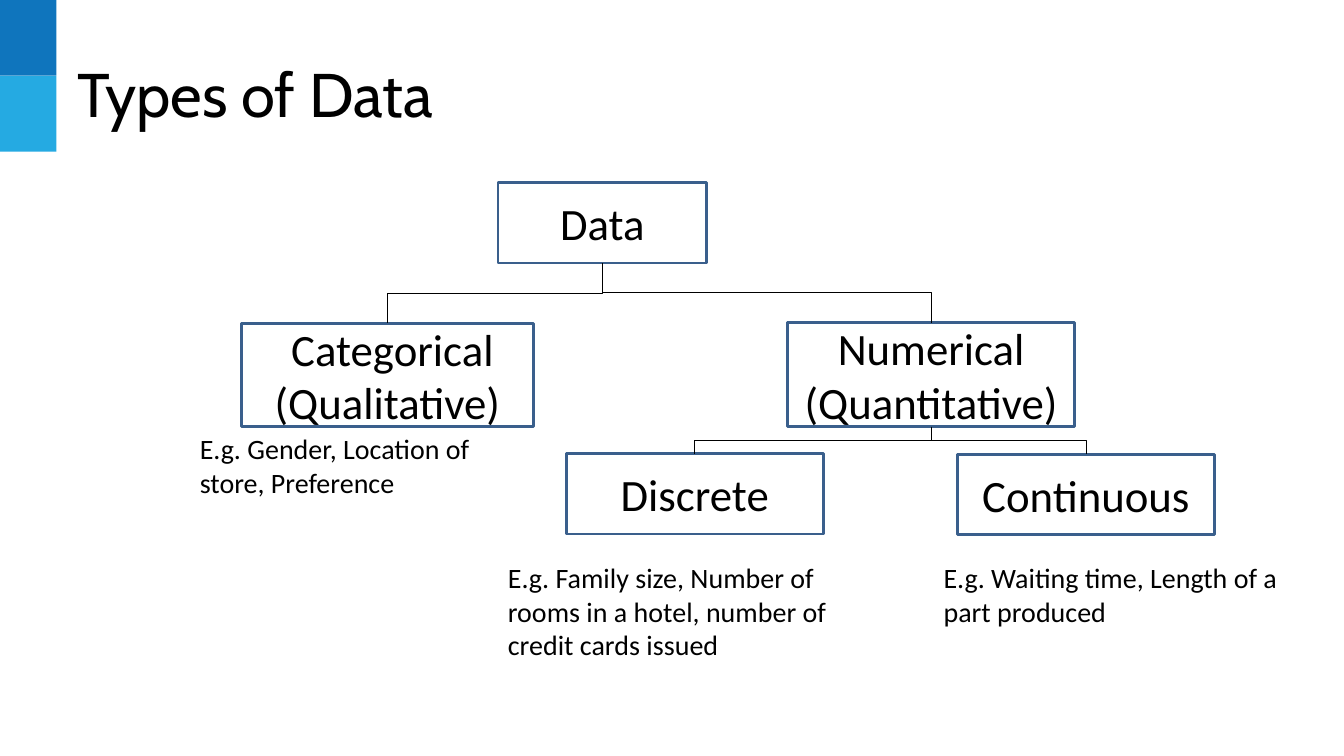
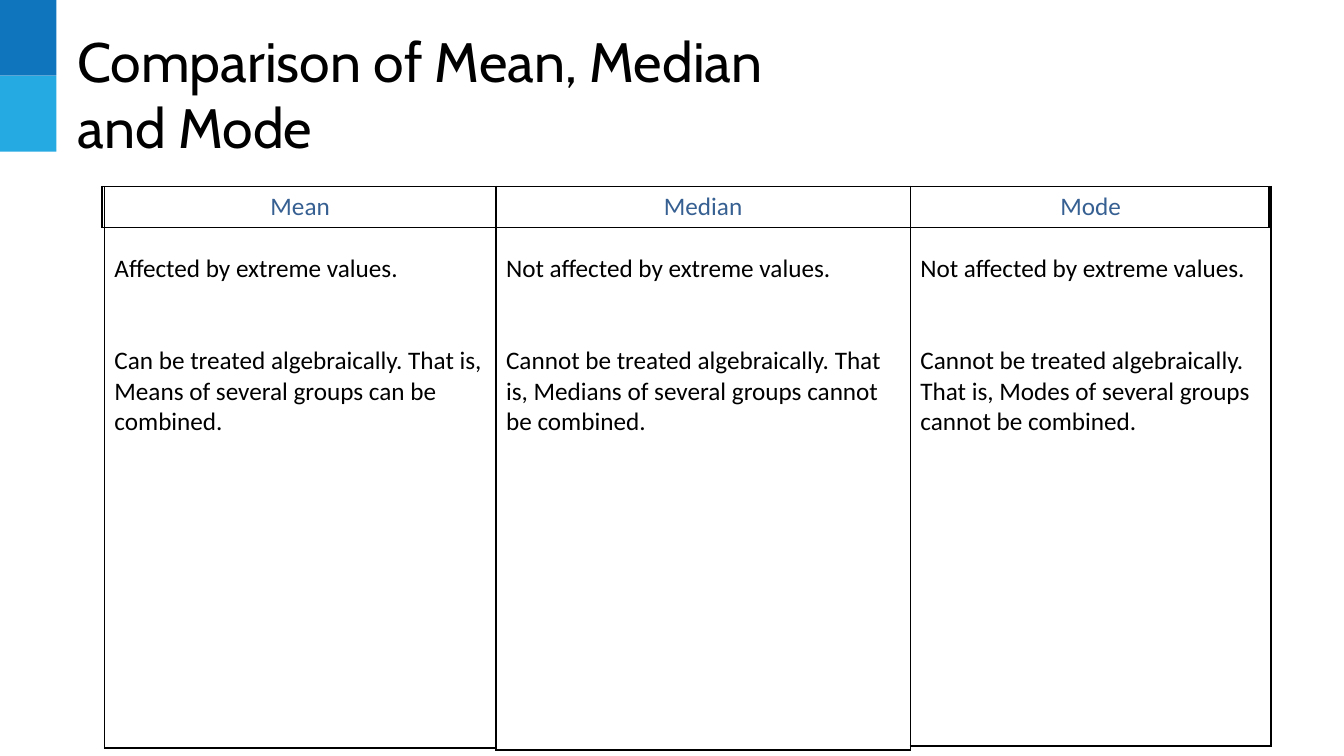
from lxml.etree import SubElement
from pptx import Presentation
from pptx.dml.color import RGBColor
from pptx.enum.shapes import MSO_CONNECTOR, MSO_SHAPE
from pptx.enum.text import MSO_ANCHOR as ANCHOR, MSO_AUTO_SIZE, PP_ALIGN as ALIGN
from pptx.oxml.ns import qn
from pptx.util import Cm, Pt

BLACK, HEADING = "000000", "376092"
BANDS = ("0F75BD", "25AAE2")
BOX_LINE = "3A5F8C"
TITLE_FONT, BODY_FONT = "Cabin", "Calibri"
TITLE_AND_CONTENT, TITLE_ONLY = 1, 5


def rgb(value):
    return RGBColor.from_string(value)


def write(tf, text, size=20, font=BODY_FONT, color=BLACK, align=ALIGN.LEFT,
          anchor=ANCHOR.TOP, gap=0, bullet=True):
    """Add a paragraph to a text frame, gap points below any earlier text."""
    tf.word_wrap = True
    tf.vertical_anchor = anchor
    p = tf.add_paragraph() if tf.text else tf.paragraphs[0]
    if not bullet:
        pPr = p._p.get_or_add_pPr()
        pPr.set("marL", "0")
        pPr.set("indent", "0")
        SubElement(pPr, qn("a:buNone"))
    p.text = text
    p.alignment = align
    p.space_before = Pt(gap)
    for r in p.runs:
        r.font.size = Pt(size)
        r.font.name = font
        r.font.color.rgb = rgb(color)


def set_borders(cell, color=BLACK, width=1):
    tcPr = cell._tc.get_or_add_tcPr()
    for side in ("lnL", "lnR", "lnT", "lnB"):
        ln = SubElement(tcPr, qn(f"a:{side}"), w=str(Pt(width)))
        fill = SubElement(ln, qn("a:solidFill"))
        SubElement(fill, qn("a:srgbClr"), val=color)


class Deck:
    def __init__(self):
        self.prs = Presentation()
        self.prs.slide_width, self.prs.slide_height = Cm(33.87), Cm(19.05)
        self.slide = None

    def new_slide(self, layout, title, size=44):
        self.slide = self.prs.slides.add_slide(self.prs.slide_layouts[layout])
        for i, color in enumerate(BANDS):
            self.rect(0, 1.91 * i, 1.42, 1.91, fill=color)
        sp = self.slide.shapes.title
        self.place(sp, 1.7, 0.76, 30.48, 3.18)
        sp.text_frame.auto_size = MSO_AUTO_SIZE.NONE
        write(sp.text_frame, title, size=size, font=TITLE_FONT, anchor=ANCHOR.MIDDLE)

    def place(self, sp, x, y, w, h):
        sp.left, sp.top, sp.width, sp.height = Cm(x), Cm(y), Cm(w), Cm(h)

    def rect(self, x, y, w, h, fill=None, line=None):
        sp = self.slide.shapes.add_shape(MSO_SHAPE.RECTANGLE, Cm(x), Cm(y), Cm(w), Cm(h))
        sp.shadow.inherit = False
        if fill:
            sp.fill.solid()
            sp.fill.fore_color.rgb = rgb(fill)
        else:
            sp.fill.background()
        if line:
            sp.line.color.rgb = rgb(line)
            sp.line.width = Pt(2)
        else:
            sp.line.fill.background()
        return sp

    def node(self, text, x, y, w, h):
        sp = self.rect(x, y, w, h, line=BOX_LINE)
        write(sp.text_frame, text, size=32, align=ALIGN.CENTER, anchor=ANCHOR.MIDDLE)
        return sp

    def body(self, text, x, y, w, h):
        sp = self.slide.placeholders[1]
        self.place(sp, x, y, w, h)
        sp.text_frame.auto_size = MSO_AUTO_SIZE.NONE
        write(sp.text_frame, text, bullet=False)

    def note(self, text, x, y, w, h):
        sp = self.slide.shapes.add_textbox(Cm(x), Cm(y), Cm(w), Cm(h))
        write(sp.text_frame, text)

    def branch(self, parent, child):
        """Join parent's bottom to child's top with an elbow turned upright."""
        line = self.slide.shapes.add_connector(MSO_CONNECTOR.ELBOW, 0, 0, 0, 0)
        line.begin_connect(parent, 2)
        line.end_connect(child, 0)
        dx, dy = line.end_x - line.begin_x, line.end_y - line.begin_y
        mid_x = (line.begin_x + line.end_x) // 2
        mid_y = (line.begin_y + line.end_y) // 2
        line.left, line.top = mid_x - dy // 2, mid_y - abs(dx) // 2
        line.width, line.height = dy, abs(dx)
        spPr = line.element.spPr
        xfrm = spPr.find(qn("a:xfrm"))
        xfrm.set("rot", str((270 if dx > 0 else 90) * 60000))
        xfrm.set("flipH", "1" if dx > 0 else "0")
        line.line.color.rgb = rgb(BLACK)
        line.line.width = Pt(0.75)
        SubElement(spPr, qn("a:effectLst"))

    def panel(self, x, y, w, h):
        """Add a bordered one-cell table and return the cell's text frame."""
        table = self.slide.shapes.add_table(1, 1, Cm(x), Cm(y), Cm(w), Cm(h)).table
        table.first_row = table.horz_banding = False
        cell = table.cell(0, 0)
        set_borders(cell)
        cell.fill.background()
        return cell.text_frame

    def measure(self, heading, points, x, y, w, h):
        """Add a panel with a heading and two points, one and two lines apart."""
        tf = self.panel(x, y, w, h)
        write(tf, heading, size=18, color=HEADING, align=ALIGN.CENTER)
        for point, gap in zip(points, (22, 44)):
            write(tf, point, size=18, gap=gap)


def add_data_types(deck):
    deck.new_slide(TITLE_AND_CONTENT, "Types of Data")
    deck.body("E.g. Gender, Location of store, Preference", 4.78, 10.75, 7.77, 2.44)
    data = deck.node("Data", 12.55, 4.6, 5.26, 2.03)
    categorical = deck.node(" Categorical (Qualitative)", 6.08, 8.15, 7.37, 2.6)
    numerical = deck.node("Numerical (Quantitative)", 19.85, 8.13, 7.24, 2.62)
    discrete = deck.node("Discrete", 14.27, 11.43, 6.48, 2.03)
    continuous = deck.node("Continuous", 24.13, 11.45, 6.48, 2.03)
    for parent, children in ((data, (categorical, numerical)),
                             (numerical, (discrete, continuous))):
        for child in children:
            deck.branch(parent, child)
    deck.note("E.g. Family size, Number of rooms in a hotel, number of credit cards issued",
              12.55, 14, 8.86, 3.33)
    deck.note("E.g. Waiting time, Length of a part produced", 23.53, 14, 9.25, 2.49)


def add_comparison(deck):
    deck.new_slide(TITLE_ONLY, "Comparison of Mean, Median\nand Mode", size=39.6)
    left, top = 2.63, 4.7
    deck.panel(2.57, top, 29.41, 1.04)
    for name, effect, treatment, combining, width, height in (
            ("Mean", "Affected", "Can", "can", 9.87, 14.15),
            ("Median", "Not affected", "Cannot", "cannot", 10.44, 14.2),
            ("Mode", "Not affected", "Cannot", "cannot", 9.09, 14.1)):
        points = (f"{effect} by extreme values.",
                  f"{treatment} be treated algebraically. That is, {name}s of several "
                  f"groups {combining} be combined.")
        deck.measure(name, points, left, top, width, height)
        left += width


def main():
    deck = Deck()
    add_data_types(deck)
    add_comparison(deck)
    deck.prs.save("out.pptx")


if __name__ == "__main__":
    main()
